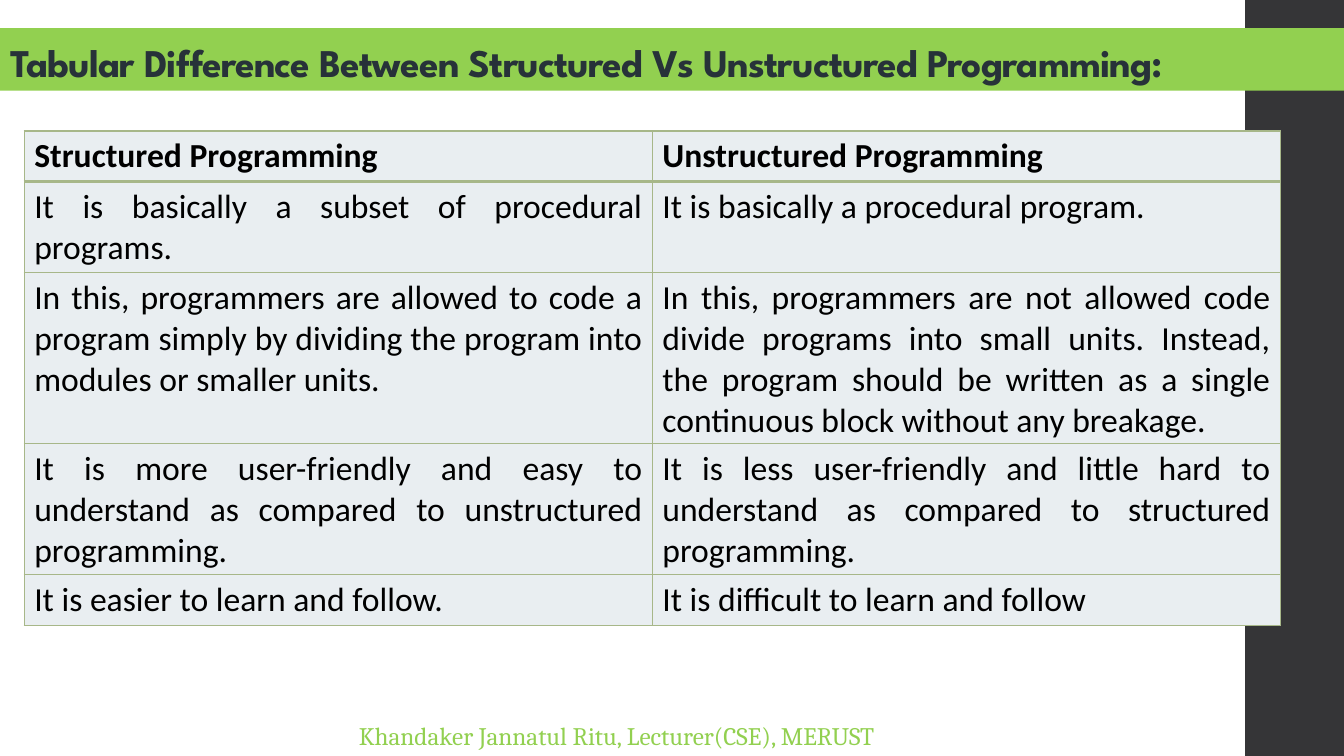
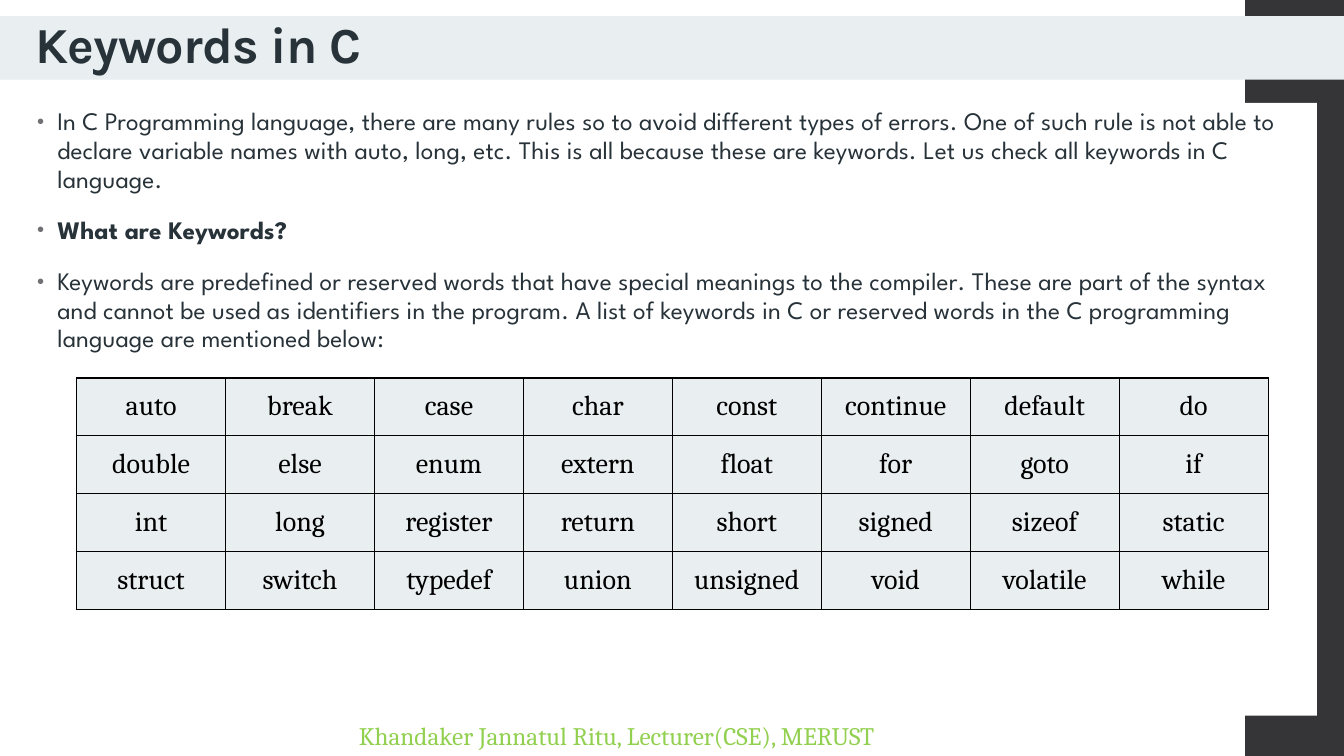
from dataclasses import dataclass

from lxml import etree
from pptx import Presentation
from pptx.dml.color import RGBColor
from pptx.enum.shapes import MSO_SHAPE
from pptx.enum.text import MSO_ANCHOR, MSO_AUTO_SIZE, PP_ALIGN
from pptx.oxml.ns import qn
from pptx.util import Inches, Pt

RECTANGLE = MSO_SHAPE.RECTANGLE
TOP, MIDDLE, BOTTOM = MSO_ANCHOR.TOP, MSO_ANCHOR.MIDDLE, MSO_ANCHOR.BOTTOM
LEFT, CENTER, JUSTIFY = PP_ALIGN.LEFT, PP_ALIGN.CENTER, PP_ALIGN.JUSTIFY
NO_AUTOFIT = MSO_AUTO_SIZE.NONE
TITLE_ONLY = 5


@dataclass(frozen=True)
class Theme:
    white: str = "FFFFFF"
    black: str = "000000"
    ink: str = "273239"
    side_band: str = "353537"
    green: str = "92D050"
    pale: str = "E9EEF1"
    olive: str = "A7B789"
    bullet: str = "6F6F74"
    heading_font: str = "League Spartan"
    keyword_title_font: str = "Karla"
    comparison_font: str = "Calibri"
    serif_font: str = "Cambria"
    title_size: int = 28
    keyword_title_size: int = 36
    comparison_size: int = 24
    keyword_size: int = 20
    body_size: int = 18
    footer_size: int = 18


THEME = Theme()
SLIDE_WIDTH, SLIDE_HEIGHT = 13.33, 7.5
FOOTER = "Khandaker Jannatul Ritu, Lecturer(CSE), MERUST"

COMPARISON = [
    ("Structured Programming", "Unstructured Programming"),
    ("It is basically a subset of procedural programs.",
     "It is basically a procedural program."),
    ("In this, programmers are allowed to code a program simply by dividing "
     "the program into modules or smaller units.",
     "In this, programmers are not allowed code divide programs into small "
     "units. Instead, the program should be written as a single continuous "
     "block without any breakage."),
    ("It is more user-friendly and easy to understand as compared to "
     "unstructured programming.",
     "It is less user-friendly and little hard to understand as compared to "
     "structured programming."),
    ("It is easier to learn and follow.",
     "It is difficult to learn and follow"),
]
COMPARISON_HEIGHTS = [0.5, 0.9, 1.7, 1.3, 0.5]

EXPLANATION = [
    ("In C Programming language, there are many rules so to avoid different "
     "types of errors. One of such rule is not able to declare variable names "
     "with auto, long, etc. This is all because these are keywords. Let us "
     "check all keywords in C language.", False),
    ("What are Keywords?", True),
    ("Keywords are predefined or reserved words that have special meanings to "
     "the compiler. These are part of the syntax and cannot be used as "
     "identifiers in the program. A list of keywords in C or reserved words "
     "in the C programming language are mentioned below:", False),
]

KEYWORDS = [
    "auto break case char const continue default do".split(),
    "double else enum extern float for goto if".split(),
    "int long register return short signed sizeof static".split(),
    "struct switch typedef union unsigned void volatile while".split(),
]
KEYWORD_ROW_HEIGHT = 0.55


def lengths(box):
    return [Inches(value) for value in box]


def paint(shape, color):
    shape.fill.solid()
    shape.fill.fore_color.rgb = RGBColor.from_string(color)


def write(paragraph, text, *, font, size, color, bold=False, align=LEFT,
          line_spacing=None, before=0, after=0, tracking=0):
    """Add one formatted run; tracking is letter spacing in points."""
    paragraph.alignment = align
    paragraph.space_before, paragraph.space_after = Pt(before), Pt(after)
    if line_spacing:
        paragraph.line_spacing = line_spacing
    run = paragraph.add_run()
    run.text = text
    run.font.name, run.font.size, run.font.bold = font, Pt(size), bold
    run.font.color.rgb = RGBColor.from_string(color)
    if tracking:
        run.font._element.set("spc", str(round(tracking * 100)))


def add_bullet(paragraph, indent=0.2):
    properties = paragraph._p.get_or_add_pPr()
    properties.set("marL", str(Inches(indent)))
    properties.set("indent", str(-Inches(indent)))
    color = etree.SubElement(properties, qn("a:buClr"))
    etree.SubElement(color, qn("a:srgbClr"), val=THEME.bullet)
    etree.SubElement(properties, qn("a:buSzPct"), val="80000")
    etree.SubElement(properties, qn("a:buFont"), typeface="Arial")
    etree.SubElement(properties, qn("a:buChar"), char="•")


def set_borders(cell, color, top=1, bottom=1):
    """Draw all four cell edges; top and bottom are widths in points."""
    properties = cell._tc.get_or_add_tcPr()
    edges = {"a:lnL": 1, "a:lnR": 1, "a:lnT": top, "a:lnB": bottom}
    for position, (edge, width) in enumerate(edges.items()):
        line = etree.Element(qn(edge), w=str(Pt(width)))
        fill = etree.SubElement(line, qn("a:solidFill"))
        etree.SubElement(fill, qn("a:srgbClr"), val=color)
        properties.insert(position, line)


def add_side_band(layout, slide):
    """Put the dark right-hand band on the layout, behind its placeholders."""
    band = slide.shapes.add_shape(
        RECTANGLE, *lengths((12.35, 0, SLIDE_WIDTH - 12.35, SLIDE_HEIGHT)))
    paint(band, THEME.side_band)
    band.line.fill.background()
    band.shadow.inherit = False
    band.element.xpath(".//p:cNvPr")[0].set("id", "20")
    layout.shapes.element.insert(2, band.element)


def place_title(slide, text, box, *, fill, inset=0.1, **text_format):
    title = slide.shapes.title
    title.left, title.top, title.width, title.height = lengths(box)
    paint(title, fill)
    frame = title.text_frame
    frame.auto_size = NO_AUTOFIT
    frame.vertical_anchor = BOTTOM
    frame.margin_left = Inches(inset)
    write(frame.paragraphs[0], text, color=THEME.ink, bold=True,
          line_spacing=0.9, tracking=-0.5, **text_format)


def add_footer(slide):
    footer = slide.shapes.add_textbox(*lengths((3.46, 7.1, 7.41, 0.4)))
    footer.text_frame.word_wrap = True
    write(footer.text_frame.paragraphs[0], FOOTER, font=THEME.serif_font,
          size=THEME.footer_size, color=THEME.green)


def add_explanation(slide, box):
    panel = slide.shapes.add_textbox(*lengths(box))
    paint(panel, THEME.white)
    frame = panel.text_frame
    frame.word_wrap = True
    for index, (text, bold) in enumerate(EXPLANATION):
        paragraph = frame.add_paragraph() if index else frame.paragraphs[0]
        write(paragraph, text, bold=bold, font=THEME.heading_font,
              size=THEME.body_size, color=THEME.ink, line_spacing=0.95,
              before=14, after=2, tracking=0.1)
        add_bullet(paragraph)


def add_grid(slide, rows, left, top, width, heights, *, border, header=False,
             anchor=TOP, insets=(0.1, 0.05), **text_format):
    """Add a table of equal columns; a header row is bold with a thick rule."""
    box = lengths((left, top, width, sum(heights)))
    table = slide.shapes.add_table(len(rows), len(rows[0]), *box).table
    table.first_row = table.horz_banding = False
    for column in table.columns:
        column.width = Inches(width / len(rows[0]))
    for r, (texts, height) in enumerate(zip(rows, heights)):
        table.rows[r].height = Inches(height)
        for c, text in enumerate(texts):
            cell = table.cell(r, c)
            paint(cell, THEME.pale)
            cell.vertical_anchor = anchor
            cell.margin_left = cell.margin_right = Inches(insets[0])
            cell.margin_top = cell.margin_bottom = Inches(insets[1])
            set_borders(cell, border, top=2 if header and r == 1 else 1,
                        bottom=2 if header and r == 0 else 1)
            write(cell.text_frame.paragraphs[0], text, color=THEME.black,
                  bold=header and r == 0, **text_format)


def build_comparison(slide):
    place_title(
        slide,
        "Tabular Difference Between Structured Vs Unstructured Programming:",
        (0, 0.28, SLIDE_WIDTH, 0.62), fill=THEME.green,
        font=THEME.heading_font, size=THEME.title_size)
    add_footer(slide)
    add_grid(slide, COMPARISON, 0.24, 1.3, 12.46, COMPARISON_HEIGHTS,
             border=THEME.olive, header=True, font=THEME.comparison_font,
             size=THEME.comparison_size, align=JUSTIFY)


def build_keywords(slide):
    add_footer(slide)
    place_title(slide, "Keywords in C", (0, 0.16, SLIDE_WIDTH, 0.63),
                fill=THEME.pale, inset=0.35, font=THEME.keyword_title_font,
                size=THEME.keyword_title_size, align=JUSTIFY)
    add_explanation(slide, (0.27, 1.02, 12.79, 6.08))
    add_grid(slide, KEYWORDS, 0.76, 3.75, 11.82,
             [KEYWORD_ROW_HEIGHT] * len(KEYWORDS), border=THEME.black,
             anchor=MIDDLE, insets=(0.08, 0.12), font=THEME.serif_font,
             size=THEME.keyword_size, align=CENTER)


def main():
    deck = Presentation()
    deck.slide_width, deck.slide_height = lengths((SLIDE_WIDTH, SLIDE_HEIGHT))
    layout = deck.slide_layouts[TITLE_ONLY]
    comparison = deck.slides.add_slide(layout)
    add_side_band(layout, comparison)
    build_comparison(comparison)
    build_keywords(deck.slides.add_slide(layout))
    deck.save("out.pptx")


if __name__ == "__main__":
    main()
